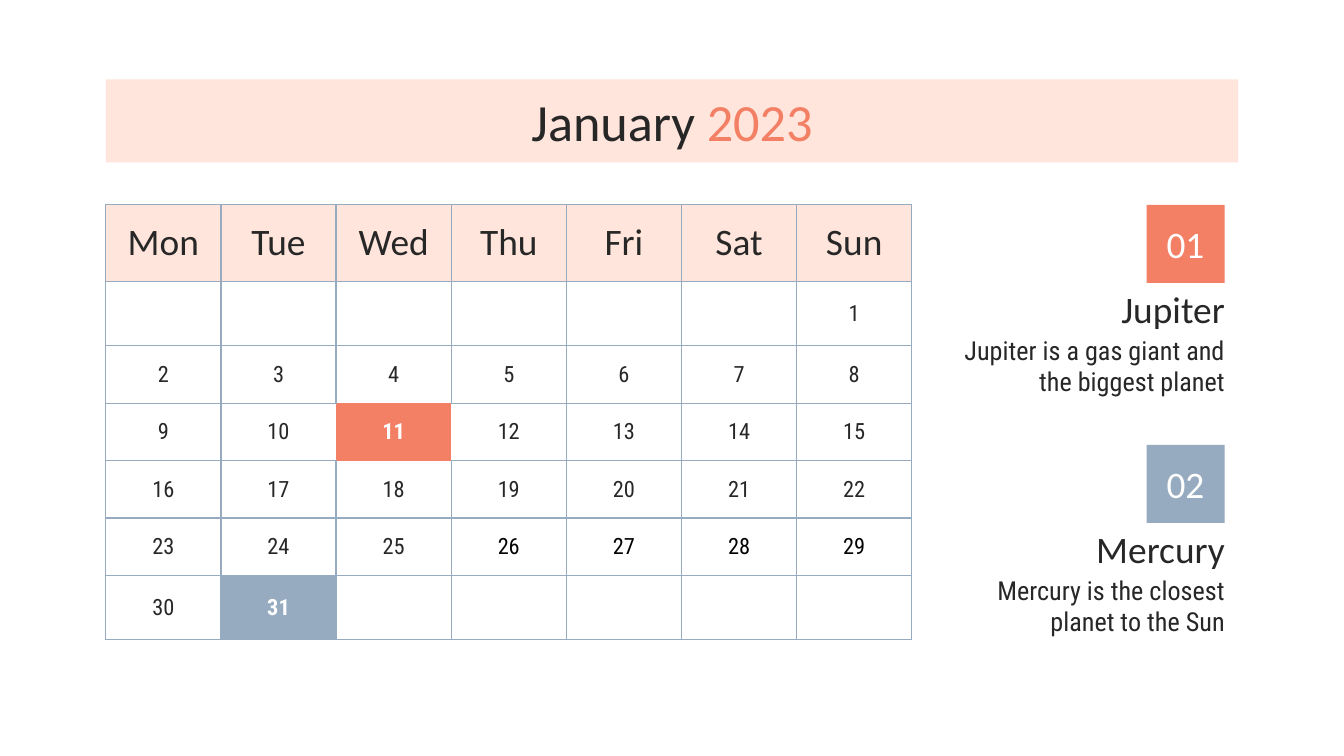
"""Build a January 2023 calendar slide with two highlighted dates."""
import lxml.etree
import pptx
import pptx.dml.color
import pptx.enum.shapes
import pptx.enum.text
import pptx.oxml.ns
import pptx.util

Pt = pptx.util.Pt
RGB = pptx.dml.color.RGBColor
ALIGN = pptx.enum.text.PP_ALIGN
MIDDLE = pptx.enum.text.MSO_ANCHOR.MIDDLE
RECT = pptx.enum.shapes.MSO_SHAPE.RECTANGLE
qn = pptx.oxml.ns.qn

INK = RGB(0x27, 0x27, 0x27)
BLACK = RGB(0, 0, 0)
WHITE = RGB(0xFF, 0xFF, 0xFF)
PEACH = RGB(0xFF, 0xE5, 0xDB)
CORAL = RGB(0xF3, 0x80, 0x65)
BLUE = RGB(0x96, 0xAB, 0xC0)
HEAD = "Calibri"
BODY = "Roboto Condensed"


def style(para, size, font, color, align, bold=False):
    para.alignment = align
    for run in para.runs:
        run.font.size = Pt(size)
        run.font.name = font
        run.font.color.rgb = color
        run.font.bold = bold


def write(shape, text, size, font, color, align):
    frame = shape.text_frame
    frame.text = text
    frame.word_wrap = True
    frame.auto_size = pptx.enum.text.MSO_AUTO_SIZE.NONE
    frame.vertical_anchor = MIDDLE
    frame.margin_left = frame.margin_right = Pt(7.2)
    frame.margin_top = frame.margin_bottom = Pt(7.2)
    style(frame.paragraphs[0], size, font, color, align)


deck = pptx.Presentation()
deck.slide_width, deck.slide_height = Pt(720), Pt(405)
slide = deck.slides.add_slide(deck.slide_layouts[5])

title = slide.shapes.title
title.left, title.top, title.width, title.height = Pt(56.7), Pt(42.5), Pt(606.6), Pt(44.6)
title.fill.solid()
title.fill.fore_color.rgb = PEACH
write(title, "January ", 28, HEAD, INK, ALIGN.CENTER)
para = title.text_frame.paragraphs[0]
para.add_run().text = "2023"
style(para, 28, HEAD, INK, ALIGN.CENTER)
para.runs[1].font.color.rgb = CORAL

days = ["Mon", "Tue", "Wed", "Thu", "Fri", "Sat", "Sun"]
heights = [41.2, 34.3, 30.8, 30.8, 30.8, 30.8, 34.3]
marks = {11: CORAL, 31: BLUE}
sides = {"lnL": (0, -1), "lnR": (0, 1), "lnT": (-1, 0), "lnB": (1, 0)}
bare = (3, 2)
frame = slide.shapes.add_table(7, 7, Pt(56.7), Pt(109.7), Pt(431.9), Pt(sum(heights)))
table = frame.table
table.first_row = table.horz_banding = False
for col in table.columns:
    col.width = Pt(61.7)
for row, height in enumerate(heights):
    table.rows[row].height = Pt(height)
    for col, name in enumerate(days):
        cell = table.cell(row, col)
        cell.vertical_anchor = MIDDLE
        props = cell._tc.get_or_add_tcPr()
        for side, (down, right) in sides.items():
            line = lxml.etree.SubElement(props, qn("a:" + side), w=str(Pt(0.75)))
            if bare in ((row, col), (row + down, col + right)):
                lxml.etree.SubElement(line, qn("a:noFill"))
            else:
                fill = lxml.etree.SubElement(line, qn("a:solidFill"))
                lxml.etree.SubElement(fill, qn("a:srgbClr"), val=str(BLUE))
        date = (row - 1) * 7 + col - 5
        shade = marks.get(date) if row else PEACH
        if shade:
            cell.fill.solid()
            cell.fill.fore_color.rgb = shade
        else:
            cell.fill.background()
        para = cell.text_frame.paragraphs[0]
        if row == 0:
            para.text = name
            style(para, 20, HEAD, INK, ALIGN.CENTER)
        elif 1 <= date <= 31:
            para.text = str(date)
            color = WHITE if date in marks else BLACK if 26 <= date <= 29 else INK
            style(para, 12, BODY, color, ALIGN.CENTER, date in marks)

notes = [
    ("01", "Jupiter", "Jupiter is a gas giant and the biggest planet", CORAL),
    ("02", "Mercury", "Mercury is the closest planet to the Sun", BLUE),
]
for i, (num, name, text, color) in enumerate(notes):
    top = 109.7 + i * 128.6
    label = slide.shapes.add_textbox(Pt(501.3), Pt(top + 41.8), Pt(162), Pt(28))
    write(label, name, 20, HEAD, INK, ALIGN.RIGHT)
    blurb = slide.shapes.add_textbox(Pt(501.3), Pt(top + 70.2), Pt(162), Pt(32))
    write(blurb, text, 14, BODY, INK, ALIGN.RIGHT)
    badge = slide.shapes.add_shape(RECT, Pt(614.2), Pt(top), Pt(41.8), Pt(41.8))
    badge.shadow.inherit = False
    badge.fill.solid()
    badge.fill.fore_color.rgb = color
    badge.line.fill.background()
    write(badge, num, 20, HEAD, WHITE, ALIGN.CENTER)

deck.save("out.pptx")
